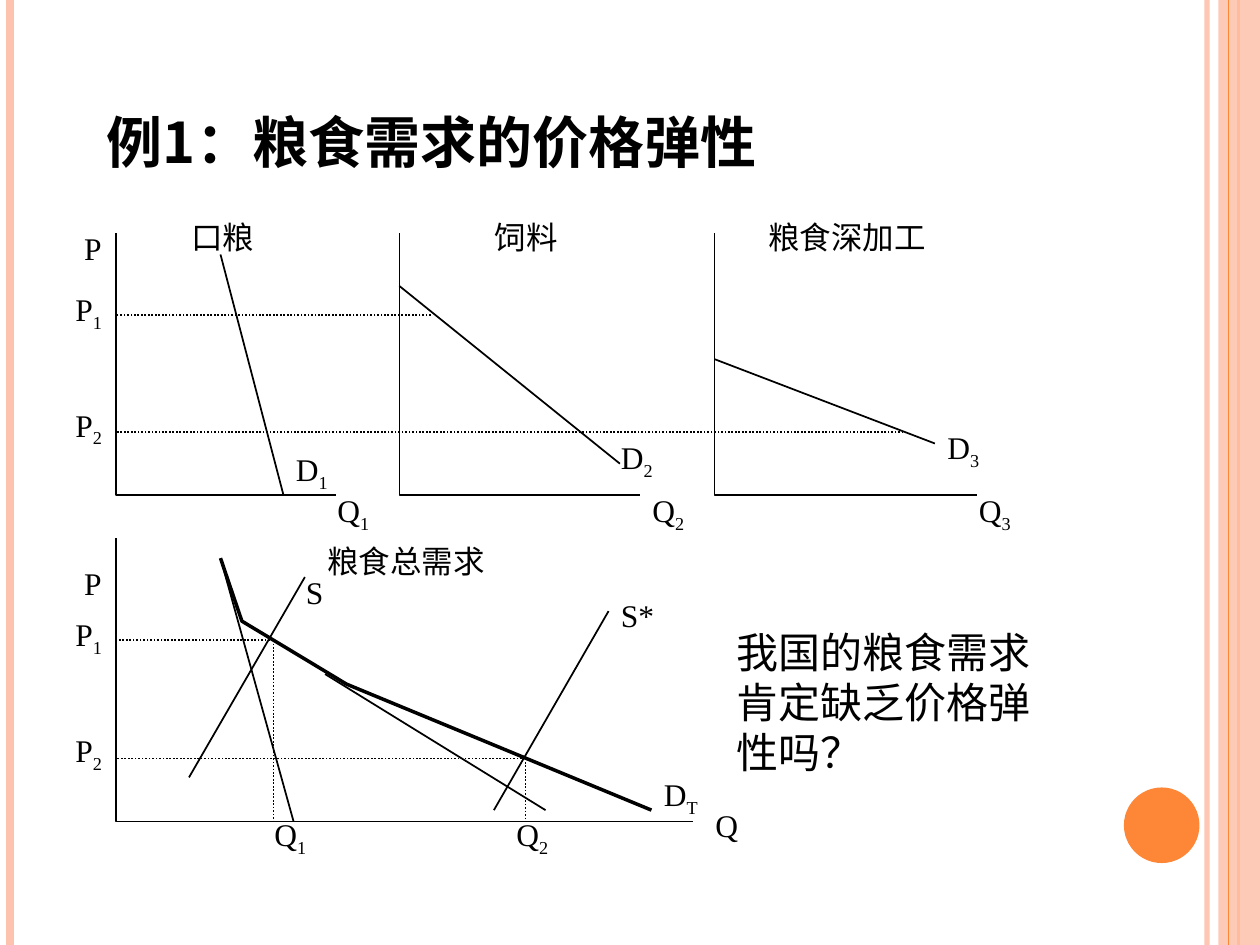
import dataclasses
import typing

import pptx
import pptx.dml.color
import pptx.enum.dml
import pptx.enum.shapes
import pptx.enum.text
import pptx.oxml.ns
import pptx.util
from lxml import etree

Inches = pptx.util.Inches
Pt = pptx.util.Pt
qn = pptx.oxml.ns.qn

COLORS = {"ink": "000000", "peach": "FEC3AE", "orange": "FE8637"}
SERIF = "Times New Roman"
SANS = "Noto Sans CJK SC"
Point = typing.Tuple[float, float]


@dataclasses.dataclass
class Line:
    start: Point
    end: Point
    color: str = "ink"
    width: float = 1
    dotted: bool = False
    alpha: int = 100


@dataclasses.dataclass
class Path:
    points: typing.List[Point]
    width: float = 1


@dataclasses.dataclass
class Label:
    text: str
    left: float
    top: float
    sub: str = ""
    width: float = 0.5
    height: float = 0.4
    size: float = 18
    font: str = SERIF
    bold: bool = False
    wrap: bool = False
    low: bool = False


def get_rgb(name: str) -> pptx.dml.color.RGBColor:
    return pptx.dml.color.RGBColor.from_string(COLORS[name])


def set_alpha(shape, percent: int) -> None:
    """Make the first solid colour of a shape see-through."""
    color = shape._element.spPr.find(".//" + qn("a:srgbClr"))
    etree.SubElement(color, qn("a:alpha")).set("val", str(percent * 1000))


def draw_line(slide, line: Line) -> None:
    ends = [Inches(v) for v in line.start + line.end]
    shape = slide.shapes.add_connector(
        pptx.enum.shapes.MSO_CONNECTOR.STRAIGHT, *ends)
    shape.line.color.rgb = get_rgb(line.color)
    shape.line.width = Pt(line.width)
    if line.dotted:
        shape.line.dash_style = pptx.enum.dml.MSO_LINE.ROUND_DOT
    if line.alpha < 100:
        set_alpha(shape, line.alpha)
    etree.SubElement(shape._element.spPr, qn("a:effectLst"))


def draw_path(slide, path: Path) -> None:
    points = [(Inches(x), Inches(y)) for x, y in path.points]
    pen = slide.shapes.build_freeform(*points[0])
    pen.add_line_segments(points[1:], close=False)
    shape = pen.convert_to_shape()
    shape.fill.background()
    shape.line.color.rgb = get_rgb("ink")
    shape.line.width = Pt(path.width)
    shape.shadow.inherit = False


def draw_block(slide, kind, box: typing.Sequence[float], color: str):
    shape = slide.shapes.add_shape(kind, *[Inches(v) for v in box])
    shape.fill.solid()
    shape.fill.fore_color.rgb = get_rgb(color)
    shape.line.fill.background()
    shape.shadow.inherit = False
    return shape


def add_run(para, text: str, label: Label):
    run = para.add_run()
    run.text = text
    run.font.name = label.font
    run.font.size = Pt(label.size)
    run.font.bold = label.bold
    run.font.color.rgb = get_rgb("ink")
    props = run._r.get_or_add_rPr()
    etree.SubElement(props, qn("a:ea")).set("typeface", SANS)
    return props


def draw_label(slide, label: Label) -> None:
    box = slide.shapes.add_textbox(
        Inches(label.left), Inches(label.top),
        Inches(label.width), Inches(label.height))
    frame = box.text_frame
    frame.word_wrap = label.wrap
    anchor = pptx.enum.text.MSO_ANCHOR
    frame.vertical_anchor = anchor.BOTTOM if label.low else anchor.TOP
    para = frame.paragraphs[0]
    add_run(para, label.text, label)
    if label.sub:
        add_run(para, label.sub, label).set("baseline", "-25000")


# Price axis, shared by the left-hand charts
LEFT = 0.92
TOP, BASE = 1.85, 3.93
SUM_TOP, SUM_BASE = 4.27, 6.52

# Side bands
BANDS = [
    Line((9.58, 0), (9.58, 7.5), "peach", 3, alpha=93),
    Line((0.08, 0), (0.08, 7.5), "peach", 4.5),
    Line((9.83, 0), (9.83, 7.5), "orange", 1.5),
]
EDGE = Line((9.75, 0), (9.75, 7.5), "orange", 0.75)

# Axes, then the bold kinked curve of total demand
PATHS = [
    Path([(x, top), (x, base), (end, base)])
    for x, end, top, base in [
        (LEFT, 2.67, TOP, BASE), (3.17, 5.08, TOP, BASE),
        (5.67, 7.75, TOP, BASE), (LEFT, 5.5, SUM_TOP, SUM_BASE)]
] + [Path([(1.75, 4.43), (1.92, 4.93), (2.75, 5.43), (5.17, 6.43)], 2)]

# Demand and supply lines
CURVES = [
    Line((1.75, 2.02), (2.25, BASE)),
    Line((3.17, 2.27), (4.92, 3.68)),
    Line((5.67, 2.85), (7.42, 3.52)),
    Line((1.75, 4.43), (2.33, SUM_BASE)),
    Line((2.58, 5.35), (4.33, 6.43)),
    Line((3.92, 6.43), (4.83, 4.85)),
    Line((1.5, 6.17), (2.42, 4.58)),
]

# Dotted guides: price levels across, amounts down
GUIDES = [
    Line((x, y), (LEFT, y), dotted=True)
    for x, y in [(3.42, 2.5), (7.17, 3.43), (2.17, 5.08), (4.17, 6.02)]
] + [
    Line((x, y), (x, SUM_BASE), dotted=True)
    for x, y in [(2.17, 5.08), (4.17, 6.02)]
]

LABELS = [
    Label("例1：粮食需求的价格弹性", 0.75, 0.77, width=8.58, height=0.67,
          size=32, font=SANS, bold=True, wrap=True, low=True),
    # Chart names
    Label("口粮", 1.42, 1.68, width=0.75),
    Label("饲料", 3.83, 1.68, width=0.75),
    Label("粮食深加工", 6, 1.68, width=1.58),
    Label("粮食总需求", 2.5, 4.25, width=1.67),
    # Prices
    Label("P", 0.57, 1.77, width=0.27),
    Label("P", 0.57, 4.43, width=0.27),
    Label("P", 0.5, 2.25, "1"),
    Label("P", 0.5, 3.17, "2"),
    Label("P", 0.5, 4.83, "1"),
    Label("P", 0.5, 5.75, "2"),
    # Amounts
    Label("Q", 2.58, 3.85, "1"),
    Label("Q", 5.08, 3.85, "2"),
    Label("Q", 7.67, 3.85, "3"),
    Label("Q", 2.08, 6.42, "1"),
    Label("Q", 4, 6.42, "2"),
    Label("Q", 5.58, 6.35),
    # Curves
    Label("D", 2.25, 3.52, "1"),
    Label("D", 4.83, 3.43, "2"),
    Label("D", 7.42, 3.35, "3"),
    Label("D", 5.17, 6.1, "T"),
    Label("S", 2.33, 4.5),
    Label("S*", 4.83, 4.68),
    # Question
    Label("我国的粮食需求肯定缺乏价格弹性吗？", 5.75, 4.92, width=2.75,
          height=1.3, size=24, wrap=True),
]


def main() -> None:
    deck = pptx.Presentation()
    deck.slide_width, deck.slide_height = Inches(10), Inches(7.5)
    slide = deck.slides.add_slide(deck.slide_layouts[6])
    kinds = pptx.enum.shapes.MSO_SHAPE
    for line in BANDS:
        draw_line(slide, line)
    set_alpha(draw_block(slide, kinds.RECTANGLE, (9.67, 0, 0.33, 7.5),
                         "peach"), 87)
    draw_line(slide, EDGE)
    draw_block(slide, kinds.OVAL, (8.92, 6.25, 0.6, 0.6), "orange")
    for path in PATHS:
        draw_path(slide, path)
    for line in CURVES + GUIDES:
        draw_line(slide, line)
    for label in LABELS:
        draw_label(slide, label)
    deck.save("out.pptx")


if __name__ == "__main__":
    main()
